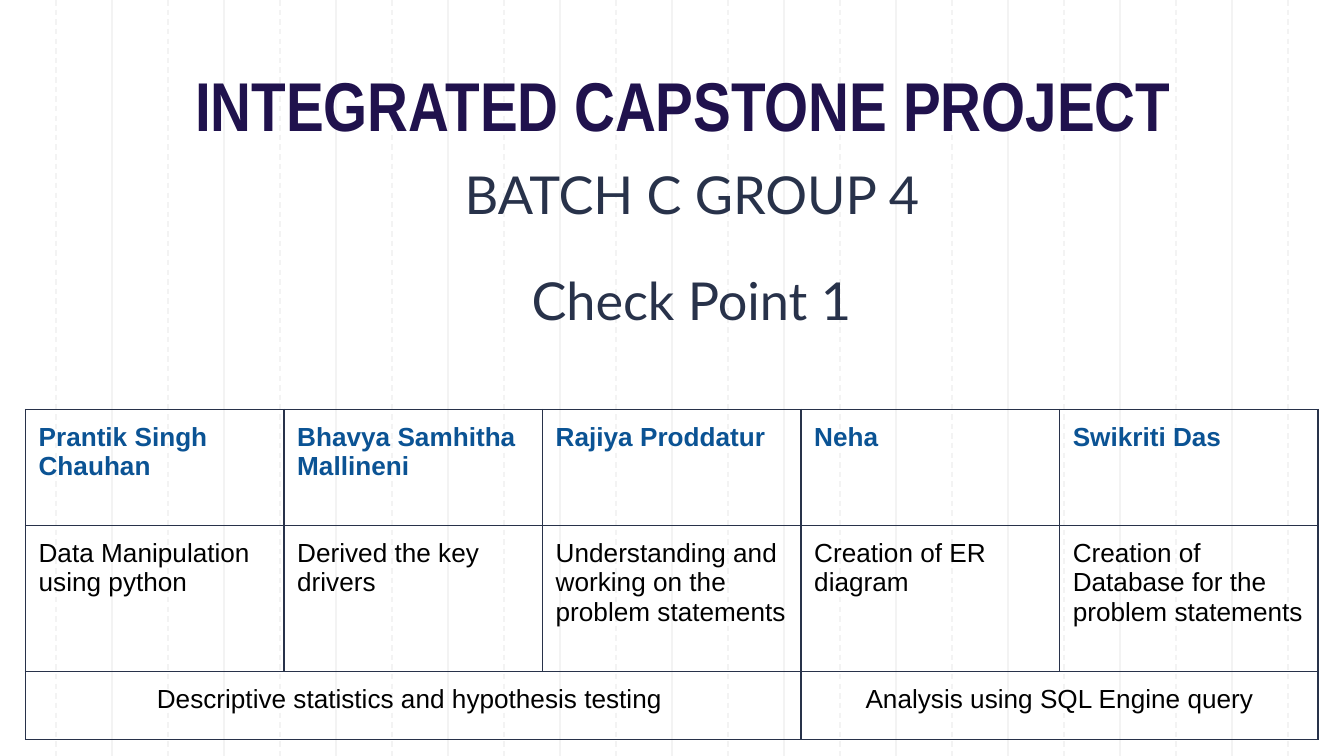
from dataclasses import dataclass

from lxml import etree
from pptx import Presentation, util as u
from pptx.dml.color import RGBColor
from pptx.enum import dml, shapes, text
from pptx.oxml.ns import qn


@dataclass(frozen=True)
class Theme:
    title_color: str = "20124D"
    ink: str = "28324A"
    name_color: str = "0B5394"
    body_color: str = "000000"
    grid_color: str = "F3F3F3"
    title_size: int = 37
    subtitle_size: int = 28
    table_size: int = 14
    line_width: float = 0.75
    title_font: str = "Arial Narrow"
    subtitle_font: str = "Lato"
    table_font: str = "Arial"
    inset: float = 0.25


THEME = Theme()
WIDTH, HEIGHT = 25.4, 14.29

NAMES = ["Prantik Singh Chauhan", "Bhavya Samhitha Mallineni", "Rajiya Proddatur",
         "Neha", "Swikriti Das"]
TASKS = ["Data Manipulation using python", "Derived the key drivers",
         "Understanding and working on the problem statements",
         "Creation of ER diagram", "Creation of Database for the problem statements"]
# First column, last column, wording
SHARED_TASKS = [(0, 2, "Descriptive statistics and hypothesis testing "),
                (3, 4, "Analysis using SQL Engine query")]
ROW_HEIGHTS = [2.19, 2.77, 1.28]


def write(paragraph, wording, font, size, color, bold=False, align=text.PP_ALIGN.CENTER):
    paragraph.alignment = align
    run = paragraph.add_run()
    run.text = wording
    run.font.name = font
    run.font.size = u.Pt(size)
    run.font.bold = bold
    run.font.color.rgb = RGBColor.from_string(color)


def set_insets(area):
    area.margin_left = area.margin_right = u.Cm(THEME.inset)
    area.margin_top = area.margin_bottom = u.Cm(THEME.inset)


def add_grid(slide, box, columns=24):
    """Vertical rules behind everything, solid and dashed by turns."""
    left, top, width, height = box
    for index in range(1, columns):
        x = u.Cm(left + width * index / columns)
        rule = slide.shapes.add_connector(
            shapes.MSO_CONNECTOR.STRAIGHT, x, u.Cm(top), x, u.Cm(top + height))
        rule.line.color.rgb = RGBColor.from_string(THEME.grid_color)
        rule.line.width = u.Pt(THEME.line_width)
        if index % 2:
            rule.line.dash_style = dml.MSO_LINE.DASH
        etree.SubElement(rule._element.spPr, qn("a:effectLst"))
        slide.shapes._spTree.insert(2, rule._element)


def place_text(shape, box, anchor):
    shape.left, shape.top, shape.width, shape.height = map(u.Cm, box)
    frame = shape.text_frame
    frame.word_wrap = True
    frame.auto_size = text.MSO_AUTO_SIZE.NONE
    frame.vertical_anchor = anchor
    set_insets(frame)
    return frame.paragraphs[0]


def add_title(slide, box):
    paragraph = place_text(slide.shapes.title, box, text.MSO_ANCHOR.BOTTOM)
    write(paragraph, "INTEGRATED CAPSTONE PROJECT ", THEME.title_font,
          THEME.title_size, THEME.title_color, bold=True)


def add_subtitle(shape, box, wording):
    paragraph = place_text(shape, box, text.MSO_ANCHOR.TOP)
    paragraph.space_before = u.Pt(6)
    write(paragraph, wording, THEME.subtitle_font, THEME.subtitle_size, THEME.ink)


def style_cell(cell):
    """Clear fill and a thin border on all four sides."""
    cell.fill.background()
    set_insets(cell)
    properties = cell._tc.get_or_add_tcPr()
    for position, side in enumerate(("lnL", "lnR", "lnT", "lnB")):
        border = etree.Element(qn(f"a:{side}"), w=str(u.Pt(THEME.line_width)))
        fill = etree.SubElement(border, qn("a:solidFill"))
        etree.SubElement(fill, qn("a:srgbClr"), val=THEME.ink)
        properties.insert(position, border)


def add_team_table(slide, box):
    left, top, width, height = box
    table = slide.shapes.add_table(len(ROW_HEIGHTS), len(NAMES), *map(u.Cm, box)).table
    table.first_row = table.horz_banding = False
    for column in table.columns:
        column.width = u.Cm(width / len(NAMES))
    for row, row_height in zip(table.rows, ROW_HEIGHTS):
        row.height = u.Cm(row_height)
    for cell in table.iter_cells():
        style_cell(cell)

    # Names above individual tasks
    styles = [(NAMES, THEME.name_color, True), (TASKS, THEME.body_color, False)]
    for row_index, (wordings, color, bold) in enumerate(styles):
        for column_index, wording in enumerate(wordings):
            paragraph = table.cell(row_index, column_index).text_frame.paragraphs[0]
            write(paragraph, wording, THEME.table_font, THEME.table_size, color,
                  bold, text.PP_ALIGN.LEFT)

    # Shared tasks span several members
    for first, last, wording in SHARED_TASKS:
        cell = table.cell(2, first)
        cell.merge(table.cell(2, last))
        write(cell.text_frame.paragraphs[0], wording, THEME.table_font,
              THEME.table_size, THEME.body_color)


def main():
    presentation = Presentation()
    presentation.slide_width, presentation.slide_height = u.Cm(WIDTH), u.Cm(HEIGHT)
    slide = presentation.slides.add_slide(presentation.slide_layouts[0])
    add_grid(slide, (0, 0, WIDTH, HEIGHT))
    add_title(slide, (3.43, 0.99, 19.25, 2.01))
    add_subtitle(slide.placeholders[1], (7.26, 2.82, 11.63, 2.21), "BATCH C GROUP 4")
    checkpoint_box = (8.86, 4.83, 8.41, 2.21)
    checkpoint = slide.shapes.add_textbox(*map(u.Cm, checkpoint_box))
    add_subtitle(checkpoint, checkpoint_box, "Check Point 1")
    add_team_table(slide, (0.48, 7.74, 24.43, sum(ROW_HEIGHTS)))
    presentation.save("out.pptx")


if __name__ == "__main__":
    main()
